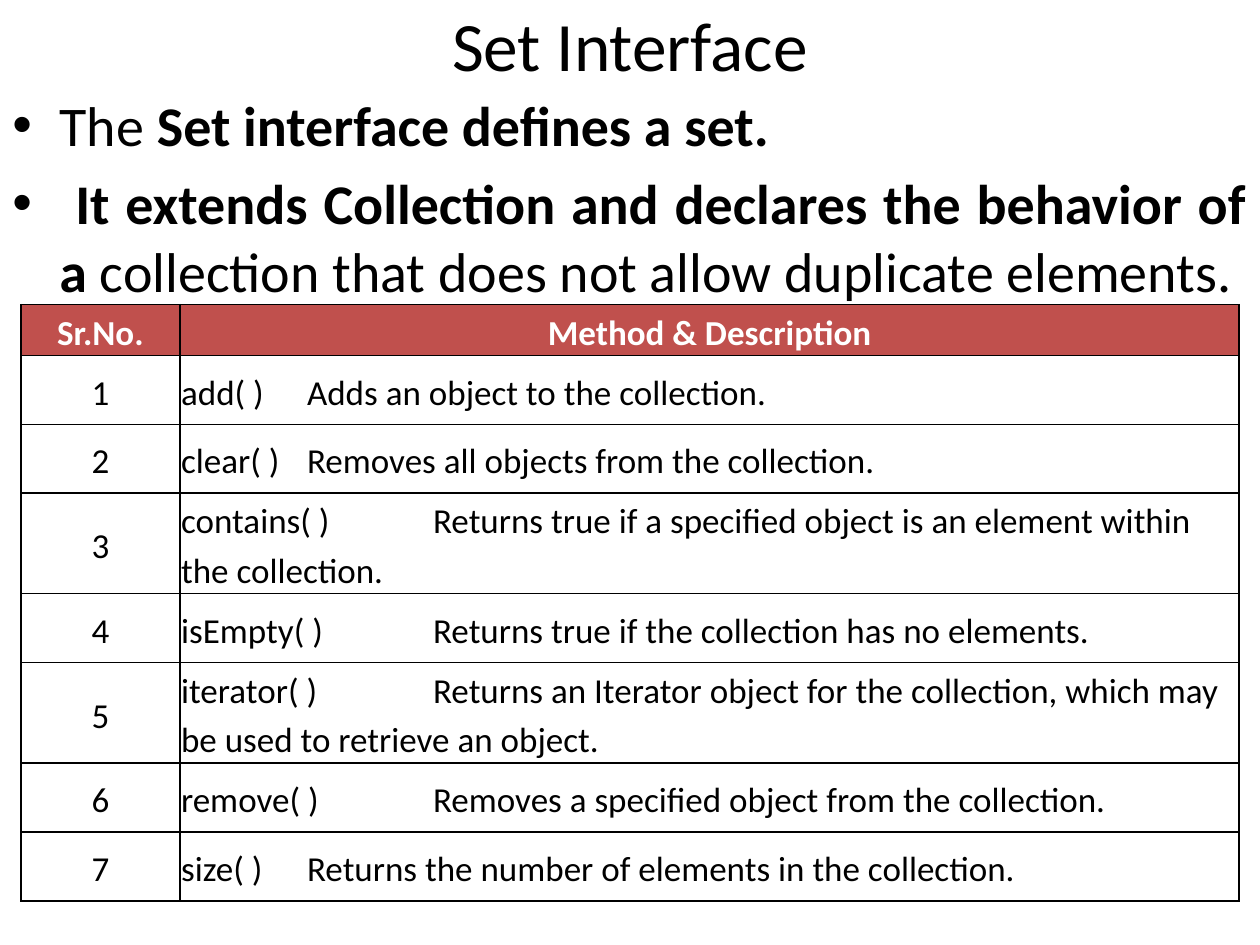
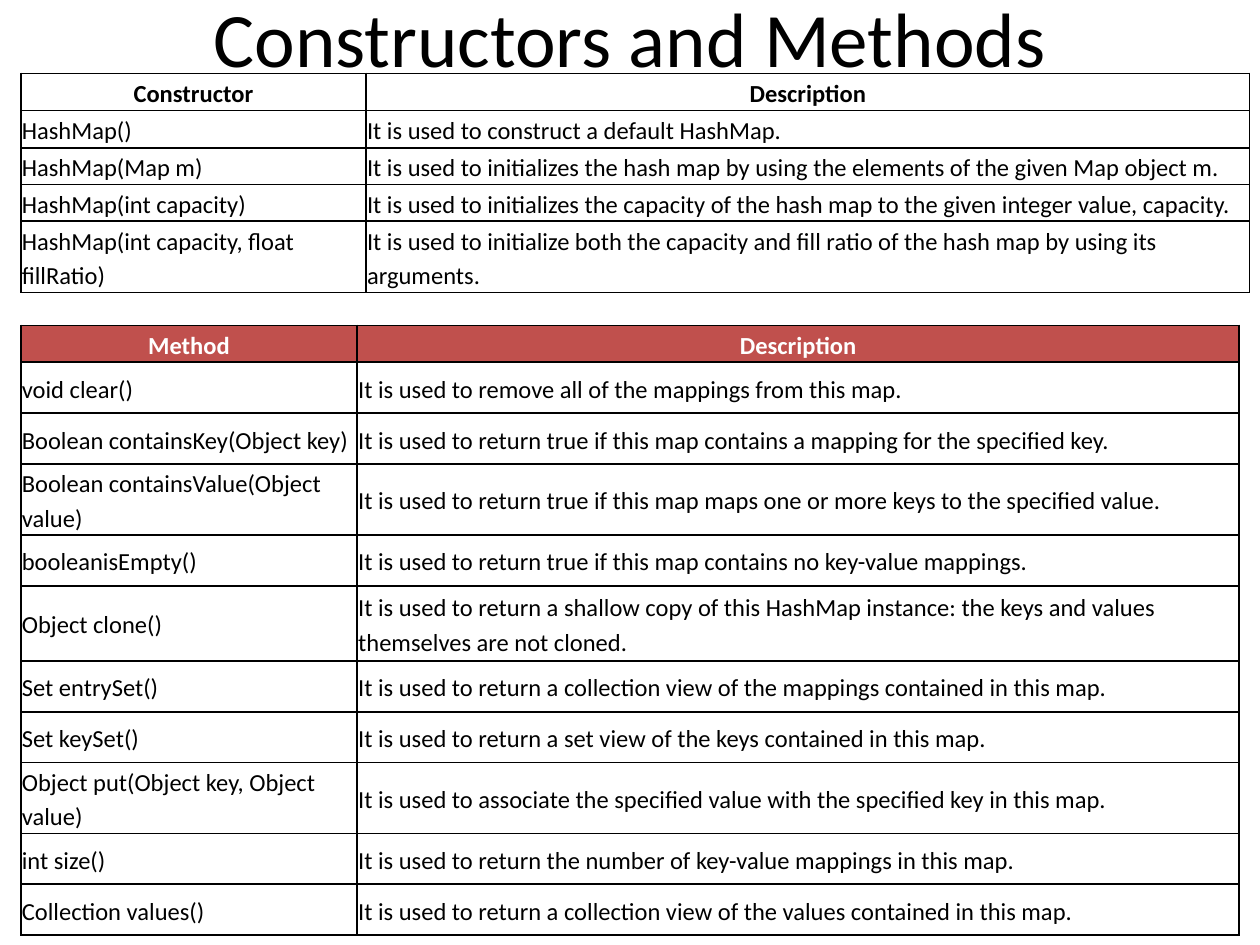
from lxml import etree
from pptx import Presentation, util as u
from pptx.dml.color import RGBColor
from pptx.enum import text
from pptx.oxml import parse_xml
from pptx.oxml.ns import nsdecls, qn

BLACK, WHITE, RED = "000000", "FFFFFF", "C0504D"
FONT = "Calibri"
CENTER, LEFT = text.PP_ALIGN.CENTER, text.PP_ALIGN.LEFT


def style(r, size, color=BLACK, bold=False):
    r.font.name, r.font.size, r.font.bold = FONT, u.Pt(size), bold
    r.font.color.rgb = RGBColor.from_string(color)


def add_grid(s, top, widths, heights, rows, size, head_fill, head_color,
             centered=(), after=None):
    """Bordered table whose first row is a bold, centred header."""
    tbl = s.shapes.add_table(len(rows), len(widths), u.Cm(0.42), u.Cm(top),
                             u.Cm(sum(widths)), u.Cm(sum(heights))).table
    tbl.horz_banding = False
    for col, w in zip(tbl.columns, widths):
        col.width = u.Cm(w)
    for i, (row, h) in enumerate(zip(rows, heights)):
        tbl.rows[i].height = u.Cm(h)
        for j, value in enumerate(row):
            head = i == 0
            cell = tbl.cell(i, j)
            cell.margin_left = cell.margin_right = u.Cm(0.02)
            cell.margin_top = cell.margin_bottom = u.Cm(0.02)
            cell.vertical_anchor = text.MSO_ANCHOR.MIDDLE
            cell.fill.solid()
            cell.fill.fore_color.rgb = RGBColor.from_string(head_fill if head else WHITE)
            p = cell.text_frame.paragraphs[0]
            p.text = value
            p.line_spacing = 1.15
            p.alignment = CENTER if head or j in centered else LEFT
            if after and not head and j not in centered:
                p.space_after = u.Pt(after)
            # Tab stops every 2.54 cm
            if "\t" in value:
                tabs = etree.SubElement(p._p.get_or_add_pPr(), qn("a:tabLst"))
                for n in (1, 2):
                    etree.SubElement(tabs, qn("a:tab"), pos=str(u.Cm(2.54 * n)), algn="l")
            style(p.runs[0], size, head_color if head else BLACK, head)
            # Borders come before the fill in the cell properties
            tcPr = cell._tc.get_or_add_tcPr()
            for k, side in enumerate("LRTB"):
                tcPr.insert(k, parse_xml(
                    f'<a:ln{side} {nsdecls("a")} w="12700"><a:solidFill>'
                    f'<a:srgbClr val="{BLACK}"/></a:solidFill></a:ln{side}>'))


prs = Presentation()
prs.slide_width, prs.slide_height = u.Cm(25.4), u.Cm(19.05)

# Slides and titles: text, top, height, size
slides = []
for title, top, height, size in [("Set Interface", 0, 1.78, 39.6),
                                 ("Constructors and Methods", -0.85, 3.18, 44)]:
    s = prs.slides.add_slide(prs.slide_layouts[6])
    slides.append(s)
    tf = s.shapes.add_textbox(u.Cm(1.27), u.Cm(top), u.Cm(22.86), u.Cm(height)).text_frame
    tf.word_wrap = True
    tf.vertical_anchor = text.MSO_ANCHOR.MIDDLE
    p = tf.paragraphs[0]
    p.text = title
    p.alignment = CENTER
    style(p.runs[0], size)
set_slide, map_slide = slides

# Set interface: bullets, each a list of (text, bold) runs
bullets = [
    [("The ", False), ("Set interface defines a set.", True)],
    [(" It extends Collection and declares the behavior of a ", True),
     ("collection that does not allow duplicate elements.", False)],
]
tf = set_slide.shapes.add_textbox(0, u.Cm(1.7), u.Cm(25.4), u.Cm(4.65)).text_frame
tf.word_wrap = True
for i, runs in enumerate(bullets):
    p = tf.add_paragraph() if i else tf.paragraphs[0]
    p.alignment = text.PP_ALIGN.JUSTIFY
    p.space_before = u.Pt(6.4)
    pPr = p._p.get_or_add_pPr()
    pPr.set("marL", str(u.Cm(0.95)))
    pPr.set("indent", str(-u.Cm(0.95)))
    etree.SubElement(pPr, qn("a:buFont")).set("typeface", "Arial")
    etree.SubElement(pPr, qn("a:buChar")).set("char", "•")
    for words, bold in runs:
        r = p.add_run()
        r.text = words
        style(r, 32, bold=bold)

# Set interface: methods
methods = [
    ("add( )", "Adds an object to the collection."),
    ("clear( )", "Removes all objects from the collection."),
    ("contains( )", "Returns true if a specified object is an element within the collection."),
    ("isEmpty( )", "Returns true if the collection has no elements."),
    ("iterator( )", "Returns an Iterator object for the collection, which may be used to "
                    "retrieve an object."),
    ("remove( )", "Removes a specified object from the collection."),
    ("size( )", "Returns the number of elements in the collection."),
]
rows = [("Sr.No.", "Method & Description")]
rows += [(str(n), f"{name}\t{use}") for n, (name, use) in enumerate(methods, 1)]
add_grid(set_slide, 6.14, [3.21, 21.35], [1.03, 1.39, 1.38, 2.03, 1.39, 2.03, 1.39, 1.39],
         rows, 20, RED, WHITE, centered=(0,), after=10)

# HashMap: constructors
rows = [
    ("Constructor", "Description"),
    ("HashMap()", "It is used to construct a default HashMap."),
    ("HashMap(Map m)", "It is used to initializes the hash map by using the elements of "
                       "the given Map object m."),
    ("HashMap(int capacity)", "It is used to initializes the capacity of the hash map to "
                              "the given integer value, capacity."),
    ("HashMap(int capacity, float fillRatio)",
     "It is used to initialize both the capacity and fill ratio of the hash map by using "
     "its arguments."),
]
add_grid(map_slide, 1.48, [6.96, 17.81], [0.75, 0.75, 0.74, 0.74, 1.44], rows, 14,
         WHITE, BLACK)

# HashMap: methods
rows = [
    ("Method", "Description"),
    ("void clear()", "It is used to remove all of the mappings from this map."),
    ("Boolean containsKey(Object key)",
     "It is used to return true if this map contains a mapping for the specified key."),
    ("Boolean containsValue(Object value)",
     "It is used to return true if this map maps one or more keys to the specified value."),
    ("booleanisEmpty()",
     "It is used to return true if this map contains no key-value mappings."),
    ("Object clone()",
     "It is used to return a shallow copy of this HashMap instance: the keys and values "
     "themselves are not cloned."),
    ("Set entrySet()",
     "It is used to return a collection view of the mappings contained in this map."),
    ("Set keySet()", "It is used to return a set view of the keys contained in this map."),
    ("Object put(Object key, Object value)",
     "It is used to associate the specified value with the specified key in this map."),
    ("int size()", "It is used to return the number of key-value mappings in this map."),
    ("Collection values()",
     "It is used to return a collection view of the values contained in this map."),
]
heights = [0.74, 1.03, 1.02, 1.43, 1.03, 1.51, 1.03, 1.02, 1.43, 1.02, 1.03]
add_grid(map_slide, 6.56, [6.78, 17.78], heights, rows, 14, RED, WHITE)

prs.save("out.pptx")
